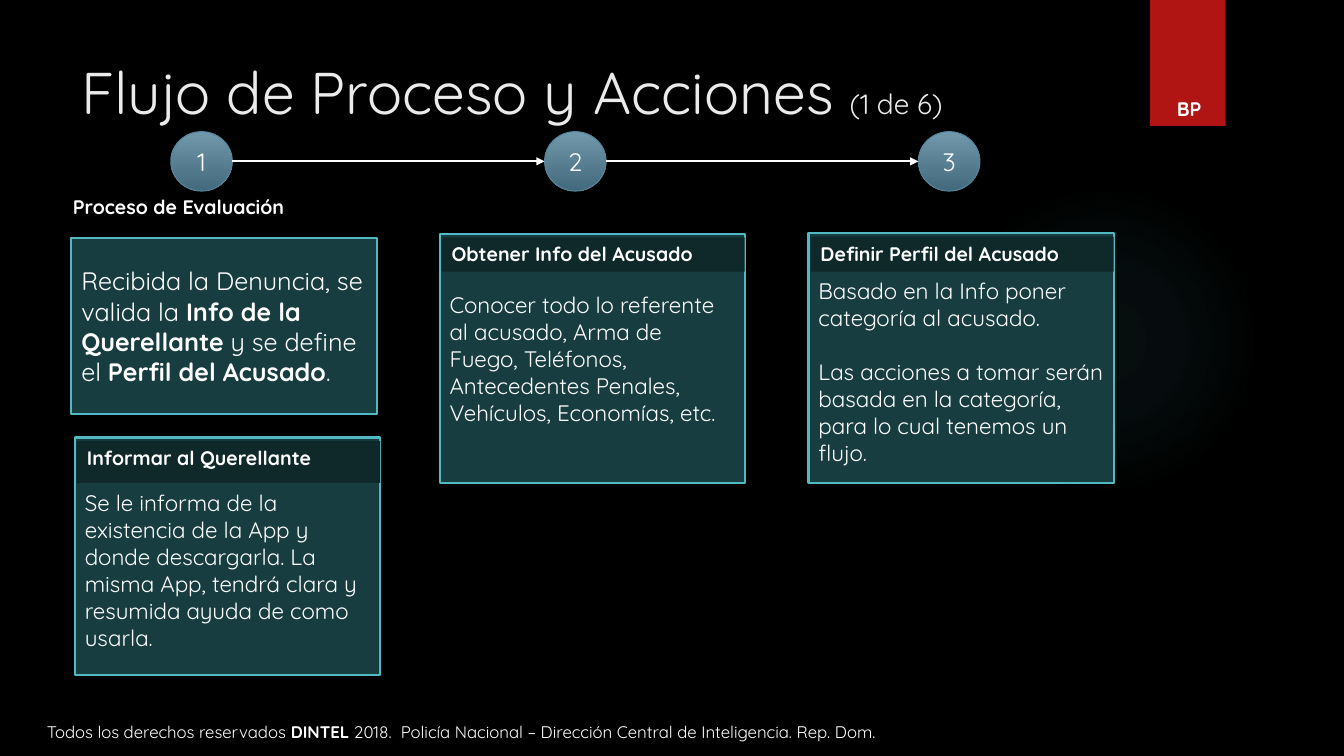
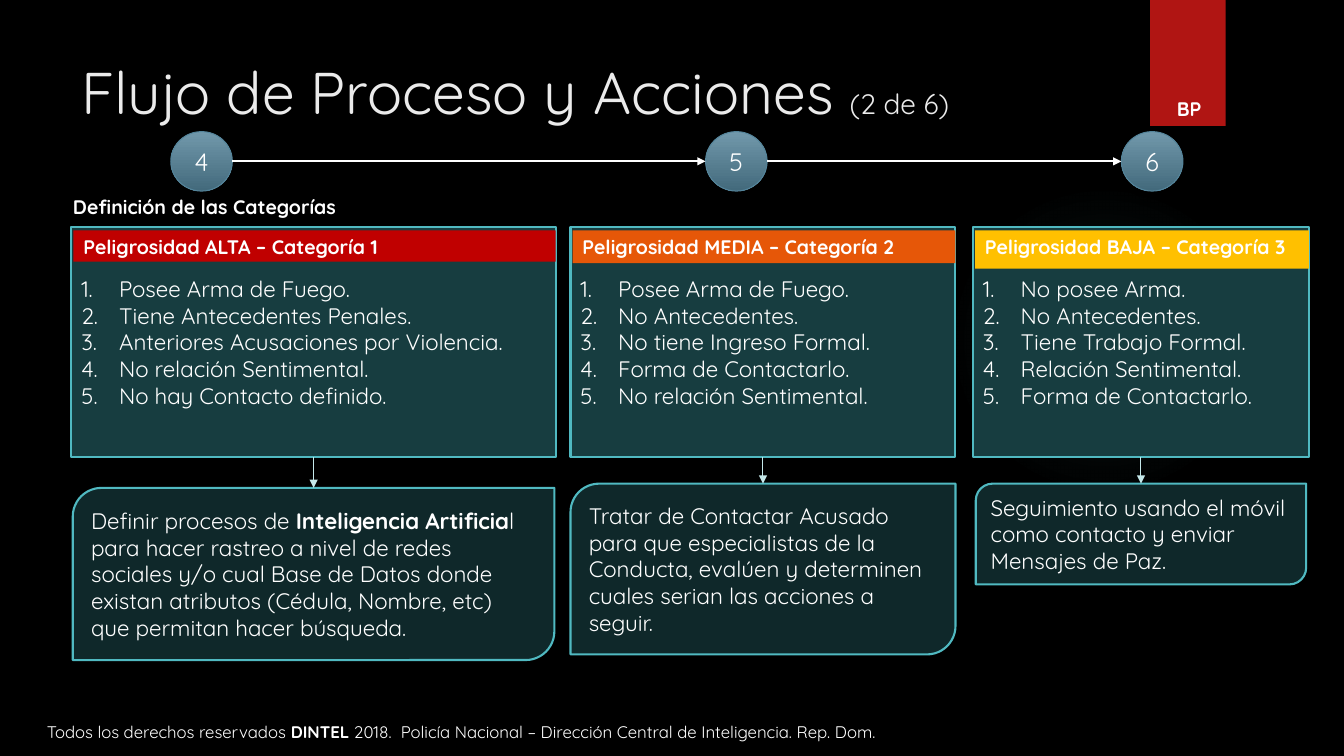
from lxml.etree import SubElement
from pptx import Presentation
from pptx.dml.color import RGBColor
from pptx.enum.shapes import MSO_CONNECTOR, MSO_SHAPE
from pptx.enum.text import MSO_ANCHOR, MSO_AUTO_SIZE, PP_ALIGN
from pptx.oxml import parse_xml
from pptx.oxml.ns import nsdecls, qn
from pptx.util import Pt

FONT = "Quicksand"
COLORS = {
    "background": "000000", "title": "EBEBEB", "text": "FFFFFF", "ribbon": "B01513",
    "card": "173D40", "dark": "0F282A", "accent": "50B9C1", "pale": "C5E8EA",
    "step_top": "7198AB", "step_bottom": "436A7C", "step_line": "54849A",
    "high": "C00000", "medium": "E65708", "low": "FFC000",
}
FOOTER = ("Todos los derechos reservados **DINTEL** 2018.  Policía Nacional – "
          "Dirección Central de Inteligencia. Rep. Dom.")
STEP_TOP, STEP_WIDTH, STEP_HEIGHT = 94, 44, 42.5
BODY_LINE = 19.2
LIST_INDENT = 27


def color(name):
    return RGBColor.from_string(COLORS[name])


class Deck:
    """Holds the style and the current slide; frames are (left, top, width, height) in points."""

    def __init__(self):
        self.presentation = Presentation()
        self.presentation.slide_width = Pt(960)
        self.presentation.slide_height = Pt(540)
        background = self.presentation.slide_master.background.fill
        background.solid()
        background.fore_color.rgb = color("background")
        self.slide = None

    def new_slide(self, title, part, subtitle):
        layout = self.presentation.slide_layouts[5]
        self.slide = self.presentation.slides.add_slide(layout)
        self.halo()
        self.shadow(self.shape(MSO_SHAPE.RECTANGLE, (821.5, 0, 54, 90), "ribbon"))
        self.title(title, part)
        self.label((26.5, 512, 704, 28), FOOTER, 12)
        self.label((813.5, 65.5, 72, 28), "**BP**", 14, PP_ALIGN.CENTER)
        self.label((45, 135.5, 210, 24.5), f"**{subtitle}**", 14)

    def title(self, text, part):
        title = self.slide.shapes.title
        title.left, title.top, title.width, title.height = map(Pt, (51, 36, 741, 110))
        frame = title.text_frame
        frame.auto_size = MSO_AUTO_SIZE.NONE
        frame.vertical_anchor = MSO_ANCHOR.TOP
        paragraph = frame.paragraphs[0]
        paragraph.alignment = PP_ALIGN.LEFT
        for piece, size in ((f"{text} ", 42), (part, 20)):
            self.add_run(paragraph, piece, size, "title")

    def add_run(self, paragraph, text, size, color_name="text", bold=False):
        run = paragraph.add_run()
        run.text = text
        run.font.name = FONT
        run.font.size = Pt(size)
        run.font.bold = bold
        run.font.color.rgb = color(color_name)

    def fill_text(self, shape, paragraphs, size, alignment=PP_ALIGN.LEFT,
                  anchor=MSO_ANCHOR.MIDDLE, numbered=False):
        """Fill a shape with paragraphs; text between ** marks is bold."""
        frame = shape.text_frame
        frame.word_wrap = True
        frame.vertical_anchor = anchor
        for index, text in enumerate(paragraphs):
            paragraph = frame.add_paragraph() if index else frame.paragraphs[0]
            paragraph.alignment = alignment
            for position, piece in enumerate(text.split("**")):
                if piece:
                    self.add_run(paragraph, piece, size, bold=position % 2 == 1)
            if numbered:
                self.number(paragraph)
            elif index:
                paragraph.space_before = Pt(BODY_LINE)

    def number(self, paragraph):
        properties = paragraph._p.get_or_add_pPr()
        properties.set("marL", str(Pt(LIST_INDENT)))
        properties.set("indent", str(-Pt(LIST_INDENT)))
        SubElement(properties, qn("a:buFont"), typeface="+mj-lt")
        SubElement(properties, qn("a:buAutoNum"), type="arabicPeriod")

    def label(self, frame, text, size, alignment=PP_ALIGN.LEFT):
        box = self.slide.shapes.add_textbox(*map(Pt, frame))
        self.fill_text(box, [text], size, alignment, MSO_ANCHOR.TOP)

    def shape(self, kind, frame, fill, line=None, line_width=1.5):
        shape = self.slide.shapes.add_shape(kind, *map(Pt, frame))
        shape.shadow.inherit = False
        shape.fill.solid()
        shape.fill.fore_color.rgb = color(fill)
        if line:
            shape.line.color.rgb = color(line)
            shape.line.width = Pt(line_width)
        else:
            shape.line.fill.background()
        return shape

    def shadow(self, shape):
        effects = shape._element.spPr.find(qn("a:effectLst"))
        effects.append(parse_xml(
            f'<a:outerShdw {nsdecls("a")} blurRad="{Pt(3)}" dist="{Pt(2)}" dir="5400000" '
            'rotWithShape="0"><a:srgbClr val="000000"><a:alpha val="45000"/></a:srgbClr>'
            '</a:outerShdw>'))

    def halo(self):
        """Faint round glow behind the content."""
        shape = self.shape(MSO_SHAPE.OVAL, (677.5, 132, 222, 222), "accent")
        stops = "".join(
            f'<a:gs pos="{position}000"><a:srgbClr val="{COLORS["accent"]}">'
            f'<a:alpha val="{alpha}000"/></a:srgbClr></a:gs>'
            for position, alpha in ((0, 7), (36, 6), (69, 0)))
        properties = shape._element.spPr
        properties.replace(properties.find(qn("a:solidFill")), parse_xml(
            f'<a:gradFill {nsdecls("a")} rotWithShape="1"><a:gsLst>{stops}</a:gsLst>'
            '<a:path path="circle"><a:fillToRect l="50000" t="50000" r="50000" b="50000"/>'
            '</a:path></a:gradFill>'))

    def arrow(self, start, end, line="text", width=1.25):
        connector = self.slide.shapes.add_connector(
            MSO_CONNECTOR.STRAIGHT, *map(Pt, (*start, *end)))
        connector.line.color.rgb = color(line)
        connector.line.width = Pt(width)
        properties = connector._element.spPr
        SubElement(properties.find(qn("a:ln")), qn("a:tailEnd"), type="triangle")
        SubElement(properties, qn("a:effectLst"))

    def step(self, left, number):
        shape = self.shape(MSO_SHAPE.OVAL, (left, STEP_TOP, STEP_WIDTH, STEP_HEIGHT),
                           "step_top", "step_line", 0.75)
        shape.fill.gradient()
        shape.fill.gradient_angle = 270
        for stop, name, position in zip(shape.fill.gradient_stops,
                                        ("step_top", "step_bottom"), (0, 1)):
            stop.color.rgb = color(name)
            stop.position = position
        self.shadow(shape)
        self.fill_text(shape, [str(number)], 18, PP_ALIGN.CENTER)

    def steps(self, lefts, first):
        """Numbered circles joined by arrows."""
        for number, left in enumerate(lefts, first):
            self.step(left, number)
        middle = STEP_TOP + STEP_HEIGHT / 2
        for left, following in zip(lefts, lefts[1:]):
            self.arrow((left + STEP_WIDTH, middle), (following, middle))

    def card(self, frame, paragraphs, size=16, lowered=False, numbered=False):
        shape = self.shape(MSO_SHAPE.RECTANGLE, frame, "card", "accent")
        if lowered:
            shape.text_frame.margin_top = Pt(3.6 + BODY_LINE)
        self.fill_text(shape, paragraphs, size, numbered=numbered)

    def header(self, card_frame, text, height, fill="dark"):
        left, top, width, _ = card_frame
        shape = self.shape(MSO_SHAPE.RECTANGLE,
                           (left + 1.5, top + 2.5, width - 1.5, height), fill)
        self.fill_text(shape, [f"**{text}**"], 14, anchor=MSO_ANCHOR.TOP)

    def response(self, frame, text):
        shape = self.shape(MSO_SHAPE.ROUND_2_DIAG_RECTANGLE, frame, "dark", "accent")
        self.fill_text(shape, [text], 16)


def evaluation_slide(deck):
    deck.new_slide("Flujo de Proceso y Acciones", "(1 de 6)", "Proceso de Evaluación")
    deck.steps((122, 389, 656), 1)
    deck.card((51, 170, 218, 126),
              ["Recibida la Denuncia, se valida la **Info de la Querellante** y se define "
               "el **Perfil del Acusado**."], 18)
    cards = (
        ((53.5, 312.5, 218, 170), "Informar al Querellante", 30, True,
         ["Se le informa de la existencia de la App y donde descargarla. La misma App, "
          "tendrá clara y resumida ayuda de como usarla."]),
        ((314, 167, 218, 178), "Obtener Info del Acusado", 24.5, False,
         ["Conocer todo lo referente al acusado, Arma de Fuego, Teléfonos, "
          "Antecedentes Penales, Vehículos, Economías, etc."]),
        ((577.5, 166.5, 218, 178.5), "Definir Perfil del Acusado", 25, True,
         ["Basado en la Info poner categoría al acusado.",
          "Las acciones a tomar serán basada en la categoría, para lo cual tenemos "
          "un flujo."]),
    )
    for frame, heading, height, lowered, paragraphs in cards:
        deck.card(frame, paragraphs, lowered=lowered)
        deck.header(frame, heading, height)


def categories_slide(deck):
    deck.new_slide("Flujo de Proceso y Acciones", "(2 de 6)", "Definición de las Categorías")
    deck.steps((122, 504, 801), 4)
    top, height = 162, 164.5
    categories = (
        (51, 346, "Peligrosidad ALTA – Categoría 1", "high", 22.5,
         ["Posee Arma de Fuego.", "Tiene Antecedentes Penales.",
          "Anteriores Acusaciones por Violencia.", "No relación Sentimental.",
          "No hay Contacto definido."],
         (52, 348.5, 344, 123),
         "Definir procesos de **Inteligencia Artificia**l para hacer rastreo a nivel de "
         "redes sociales y/o cual Base de Datos donde existan atributos (Cédula, Nombre, "
         "etc) que permitan hacer búsqueda."),
        (407.5, 275, "Peligrosidad MEDIA – Categoría 2", "medium", 23.5,
         ["Posee Arma de Fuego.", "No Antecedentes.", "No tiene Ingreso Formal.",
          "Forma de Contactarlo.", "No relación Sentimental."],
         (407.5, 345.5, 275, 122),
         "Tratar de Contactar Acusado para que especialistas de la Conducta, evalúen y "
         "determinen cuales serian las acciones a seguir."),
        (695, 240, "Peligrosidad BAJA – Categoría 3", "low", 27.5,
         ["No posee Arma.", "No Antecedentes.", "Tiene Trabajo Formal.",
          "Relación Sentimental.", "Forma de Contactarlo."],
         (697, 345.5, 236, 72),
         "Seguimiento usando el móvil como contacto y enviar Mensajes de Paz."),
    )
    for left, width, heading, fill, band, traits, response_frame, response in categories:
        frame = (left, top, width, height)
        deck.card(frame, traits, numbered=True)
        deck.header(frame, heading, band, fill)
        deck.response(response_frame, response)
        center = left + width / 2
        deck.arrow((center, top + height), (center, response_frame[1]), "pale", 0.75)


def main():
    deck = Deck()
    evaluation_slide(deck)
    categories_slide(deck)
    deck.presentation.save("out.pptx")


if __name__ == "__main__":
    main()
